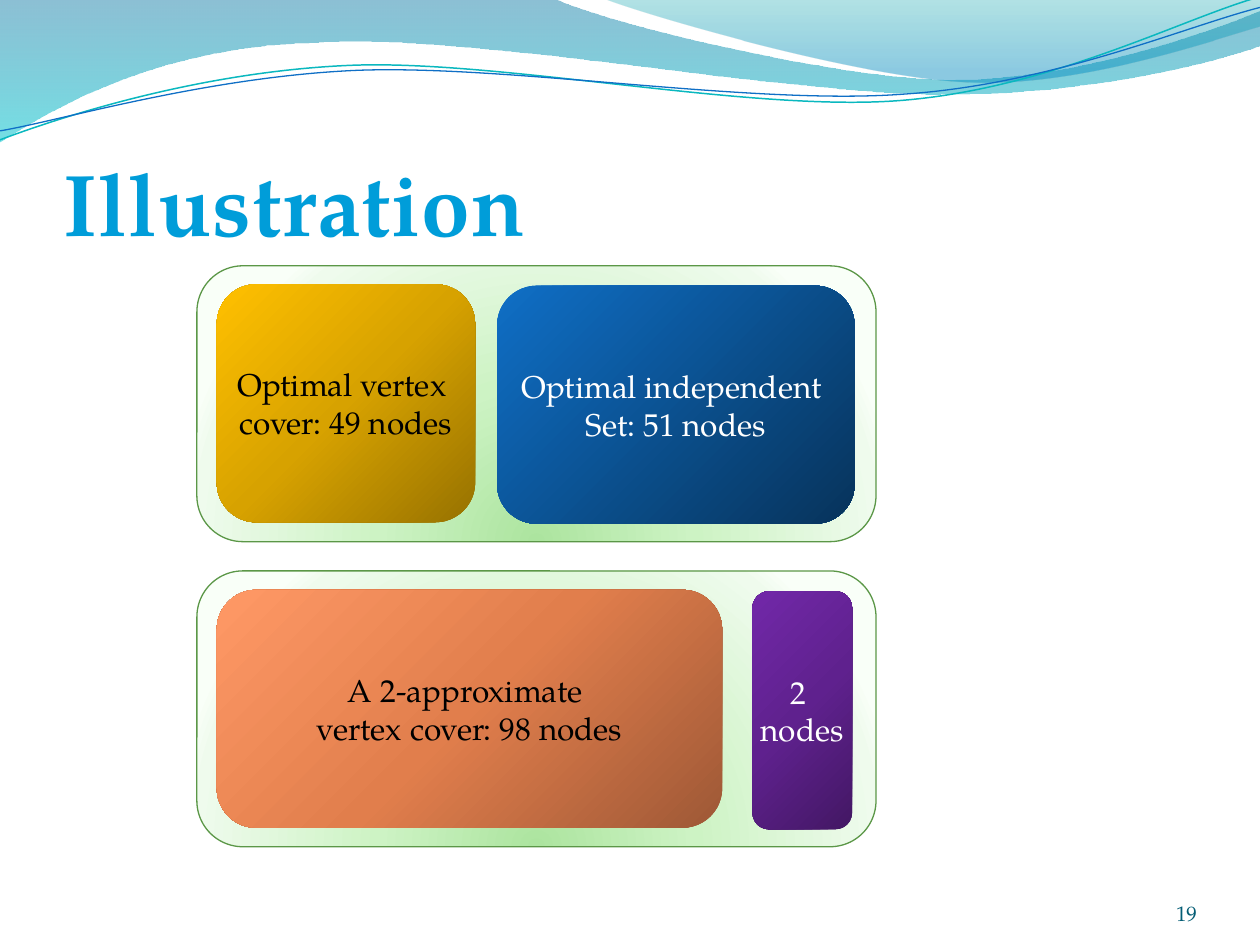
import math
import pptx
import pptx.util
import pptx.dml.color
import pptx.enum.shapes
import pptx.enum.text
import pptx.oxml
import pptx.oxml.ns

Cm, Pt = pptx.util.Cm, pptx.util.Pt
ALIGN = pptx.enum.text.PP_ALIGN
ANCHOR = pptx.enum.text.MSO_ANCHOR
NAMESPACE = pptx.oxml.ns.nsdecls("a")
FONT = "TeX Gyre Pagella"

LINEAR = '<a:lin ang="{}" scaled="0"/>'
DOWN, TO_LOWER_RIGHT, TO_UPPER_LEFT = (LINEAR.format(d * 60000) for d in (90, 45, 225))
GLOW = ('<a:path path="circle">'
        '<a:fillToRect l="50000" t="130000" r="50000" b="-30000"/></a:path>')

# Gradient stops: position in percent, colour, opacity in percent
PANEL_GREEN = [(0, "ACE49F", 100), (43, "CDF3C4", 100),
               (93, "EFFBED", 100), (100, "F9FFF8", 100)]
BLUE = [(0, "0F6FC6", 100), (100, "07335B", 100)]
GOLD = [(0, "977200", 100), (50, "D7A200", 100), (100, "FFC000", 100)]
ORANGE = [(0, "9E5836", 100), (50, "E17E4C", 100), (100, "FF9966", 100)]
PURPLE = [(0, "431764", 100), (50, "5F218E", 100), (100, "7128A8", 100)]

# Waves in cm: box, then steps; a pair is a straight step, six numbers a Bezier curve
BANDS = [
    ((-0.03, -0.02, 25.46, 2.89),
     [(0, 0), (11.18, -0.02), (12.09, 0.43, 16.87, 1.6, 19.25, 1.6),
      (21.67, 1.6, 24.33, 0.66, 25.4, 0.23), (25.43, 0.91),
      (24.97, 1.12, 22.1, 1.93, 18.95, 1.9), (15.8, 1.9, 9.7, 0.71, 6.53, 0.86),
      (3.28, 0.91, 1.17, 2.11, -0.03, 2.87), (0, 0)],
     [(0, "0074A1", 45), (100, "00C6CF", 55)]),
    ((12.17, -0.03, 13.23, 1.78),
     [(12.17, -0.03), (12.93, 0.28, 17.32, 1.57, 19.53, 1.65),
      (21.74, 1.75, 24.41, 0.81, 25.4, 0.53), (25.4, 0), (12.17, -0.03)],
     [(0, "00A1A9", 30), (80, "008BBF", 45)]),
]
STRAND_TILT = -2.7
STRANDS = [
    ((-0.05, 0.56, 25.45, 1.8),
     [(0, 2.82), (1.22, 2.36, 4.01, 1.45, 7.04, 1.32),
      (10.03, 1.19, 15.06, 2.26, 18.11, 2.03),
      (21.16, 1.8, 23.83, 0.38, 25.35, -0.05)], "0AB8BF", 0.85),
    ((-0.05, 0.76, 25.48, 1.47),
     [(0, 2.64), (1.19, 2.44, 4.17, 1.55, 7.19, 1.42),
      (10.24, 1.3, 15.16, 2.13, 18.21, 1.9),
      (21.23, 1.7, 23.9, 0.53, 25.4, 0.15)], "0F6FC6", 0.75),
]


def color(hex_string):
    return pptx.dml.color.RGBColor.from_string(hex_string)


def fill_gradient(shape, stops, direction):
    shape.fill.background()
    stop_xml = "".join(
        f'<a:gs pos="{position * 1000}"><a:srgbClr val="{value}">'
        f'<a:alpha val="{opacity * 1000}"/></a:srgbClr></a:gs>'
        for position, value, opacity in stops)
    gradient = pptx.oxml.parse_xml(
        f'<a:gradFill {NAMESPACE} rotWithShape="1"><a:gsLst>{stop_xml}</a:gsLst>'
        f'{direction}</a:gradFill>')
    properties = shape._element.spPr
    properties.replace(properties.find(pptx.oxml.ns.qn("a:noFill")), gradient)


def write_lines(shape, lines, size, text_color, alignment, anchor, margins=None):
    frame = shape.text_frame
    frame.vertical_anchor = anchor
    if margins:
        (frame.margin_left, frame.margin_top,
         frame.margin_right, frame.margin_bottom) = map(Cm, margins)
    for index, line in enumerate(lines):
        paragraph = frame.add_paragraph() if index else frame.paragraphs[0]
        paragraph.alignment = alignment
        run = paragraph.add_run()
        run.text = line
        run.font.name = FONT
        run.font.size = Pt(size)
        run.font.color.rgb = color(text_color)
    return frame


def add_wave(slide, left, top, box, steps, close, tilt=0):
    box_left, box_top, width, height = box
    cosine, sine = math.cos(math.radians(-tilt)), math.sin(math.radians(-tilt))

    def to_box(x, y):
        """Undo the tilt around the middle of the box and measure from its corner."""
        x, y = x - box_left - width / 2, y - box_top - height / 2
        return (Cm(x * cosine - y * sine + width / 2),
                Cm(x * sine + y * cosine + height / 2))

    # Straight outline through the ends of all steps
    ends = [to_box(*step[-2:]) for step in steps]
    builder = slide.shapes.build_freeform(*ends[0])
    builder.add_line_segments(ends[1:], close=close)
    shape = builder.convert_to_shape()
    shape.left, shape.top = Cm(left + box_left), Cm(top + box_top)
    shape.width, shape.height = Cm(width), Cm(height)
    shape.rotation = tilt
    shape.shadow.inherit = False

    # Curved outline in the same box
    commands = ""
    for index, step in enumerate(steps):
        points = "".join('<a:pt x="{}" y="{}"/>'.format(*to_box(*step[i:i + 2]))
                         for i in range(0, len(step), 2))
        name = "moveTo" if index == 0 else "lnTo" if len(step) == 2 else "cubicBezTo"
        commands += f"<a:{name}>{points}</a:{name}>"
    commands += "<a:close/>" if close else ""
    outline = pptx.oxml.parse_xml(
        f'<a:path {NAMESPACE} w="{Cm(width)}" h="{Cm(height)}">{commands}</a:path>')
    straight = shape._element.spPr.find(".//" + pptx.oxml.ns.qn("a:path"))
    straight.getparent().replace(straight, outline)
    return shape


def add_header_waves(slide, left, top):
    for box, steps, stops in BANDS:
        band = add_wave(slide, left, top, box, steps, True)
        fill_gradient(band, stops, DOWN)
        band.line.fill.background()
    for box, steps, line_color, width in STRANDS:
        strand = add_wave(slide, left, top, box, steps, False, STRAND_TILT)
        strand.fill.background()
        strand.line.color.rgb = color(line_color)
        strand.line.width = Pt(width)


def add_rounded_box(slide, left, top, width, height, stops, direction):
    shape = slide.shapes.add_shape(pptx.enum.shapes.MSO_SHAPE.ROUNDED_RECTANGLE,
                                   Cm(left), Cm(top), Cm(width), Cm(height))
    shape.shadow.inherit = False
    fill_gradient(shape, stops, direction)
    shape.line.fill.background()
    return shape


def add_panel(slide, left, top, width, height, sets):
    # Pale green frame
    frame = add_rounded_box(slide, left, top, width, height, PANEL_GREEN, GLOW)
    frame.line.color.rgb = color("5B9747")
    frame.line.width = Pt(0.75)
    # Node sets inside the frame
    for offset_x, offset_y, set_width, stops, direction, text_color, lines in sets:
        box = add_rounded_box(slide, left + offset_x, top + offset_y, set_width, 4.8,
                              stops, direction)
        text = write_lines(box, lines, 18, text_color, ALIGN.CENTER, ANCHOR.MIDDLE)
        text.word_wrap = False


def add_text(slide, left, top, width, height, line, size, text_color, alignment, margins):
    box = slide.shapes.add_textbox(Cm(left), Cm(top), Cm(width), Cm(height))
    frame = write_lines(box, [line], size, text_color, alignment, ANCHOR.BOTTOM, margins)
    frame.word_wrap = True
    return frame.paragraphs[0].runs[0]


def main():
    presentation = pptx.Presentation()
    presentation.slide_width, presentation.slide_height = Cm(25.4), Cm(19.05)
    slide = presentation.slides.add_slide(presentation.slide_layouts[6])

    add_header_waves(slide, 0, 0)

    # Approximate split below, optimal split above
    add_panel(slide, 3.97, 11.51, 13.69, 5.56, [
        (0.4, 0.38, 10.19, ORANGE, TO_UPPER_LEFT, "000000",
         ["A 2-approximate ", "vertex cover: 98 nodes"]),
        (11.2, 0.41, 2.01, PURPLE, TO_UPPER_LEFT, "FFFFFF", ["2 ", "nodes"])])
    add_panel(slide, 3.97, 5.36, 13.69, 5.56, [
        (6.05, 0.4, 7.21, BLUE, TO_LOWER_RIGHT, "FFFFFF",
         ["Optimal independent ", "Set: 51 nodes"]),
        (0.4, 0.37, 5.21, GOLD, TO_UPPER_LEFT, "000000",
         ["Optimal vertex ", "cover: 49 nodes"])])

    # Title and page number
    title = add_text(slide, 1.28, 1.94, 22.86, 3.18, "Illustration", 50, "009DD9",
                     ALIGN.LEFT, (0, 0.13, 0, 0))
    title.font.bold = True
    title._r.get_or_add_rPr().set("spc", "50")
    add_text(slide, 22.02, 17.65, 2.11, 1.02, "19", 12, "045D75", ALIGN.RIGHT, (0, 0, 0, 0))

    presentation.save("out.pptx")


if __name__ == "__main__":
    main()
